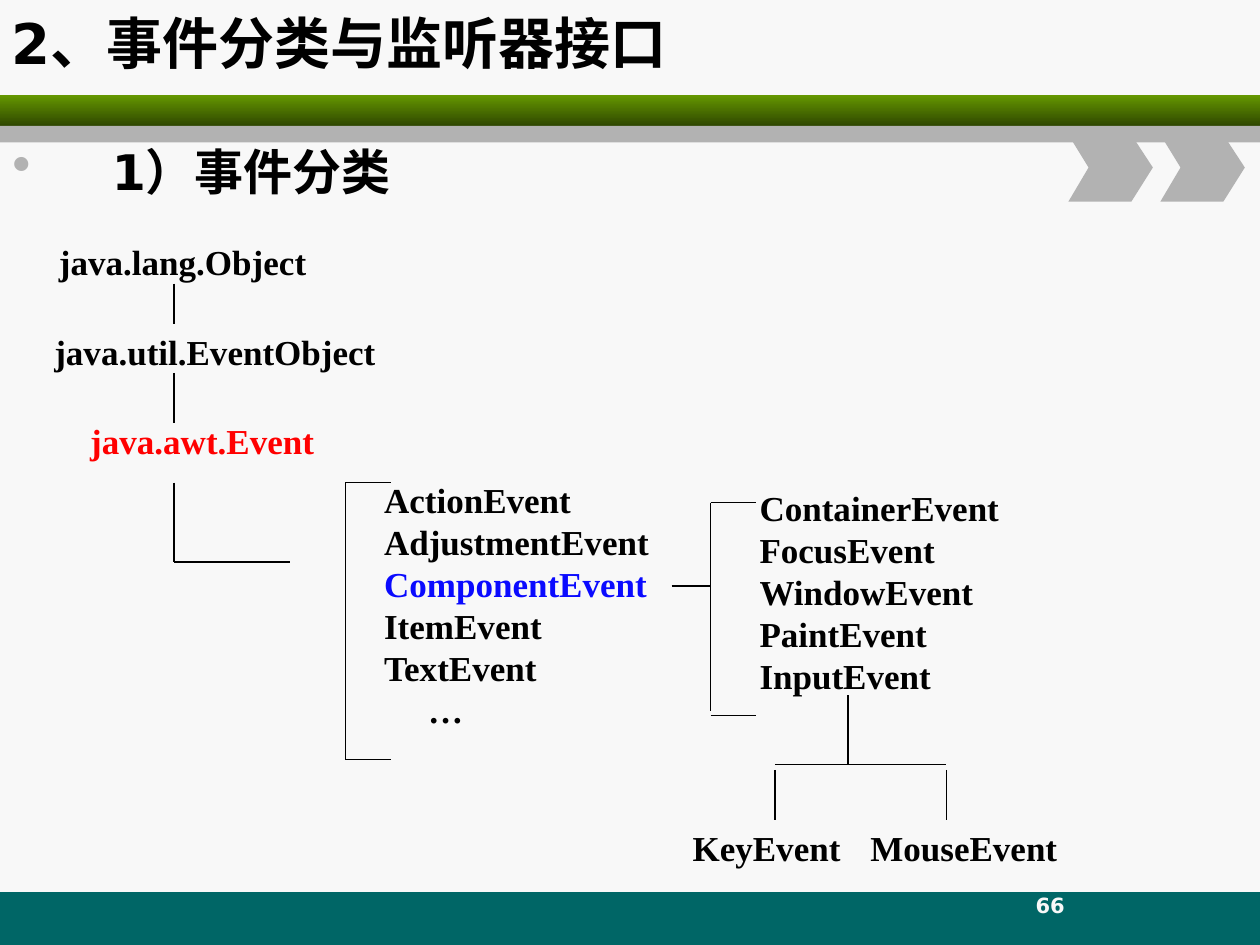
from typing import NamedTuple

from lxml import etree
from pptx import Presentation
from pptx.dml.color import RGBColor
from pptx.enum.shapes import MSO_CONNECTOR as Connector, MSO_SHAPE as Shape
from pptx.enum.text import MSO_ANCHOR as Anchor, PP_ALIGN as Align
from pptx.oxml.ns import qn
from pptx.util import Inches, Pt

SANS, SERIF = "DejaVu Sans", "Times New Roman"
BLACK, PAPER, GRAY, TEAL = "000000", "F8F8F8", "B2B2B2", "006666"
RED, BLUE = "FF0000", "0A0AFF"


class Box(NamedTuple):
    left: float
    top: float
    width: float
    height: float


class Line(NamedTuple):
    x1: float
    y1: float
    x2: float
    y2: float


class Label(NamedTuple):
    box: Box
    names: list[str]
    align: Align = Align.LEFT
    color: str = BLACK


LABELS = [
    Label(Box(0.23, 1.86, 2.3, 0.44), ["java.lang.Object"], Align.RIGHT),
    Label(Box(0.19, 2.57, 2.89, 0.44), ["java.util.EventObject"], Align.RIGHT),
    Label(Box(0.47, 3.28, 2.27, 0.44), ["java.awt.Event"], Align.CENTER, RED),
    Label(Box(2.95, 3.75, 2.4, 2.1),
          ["ActionEvent", "AdjustmentEvent", "ComponentEvent", "ItemEvent", "TextEvent", "…"]),
    Label(Box(5.93, 3.81, 2.3, 1.77),
          ["ContainerEvent", "FocusEvent", "WindowEvent", "PaintEvent", "InputEvent"]),
    Label(Box(5.24, 6.51, 1.53, 0.44), ["KeyEvent"], Align.RIGHT),
    Label(Box(6.71, 6.51, 1.78, 0.44), ["MouseEvent"], Align.RIGHT),
]

TRUNK_X, AWT_X, COMPONENT_X = 1.38, 2.74, 5.64
INPUT_X, KEY_X, MOUSE_X = 6.73, 6.15, 7.51
ARM = 0.36
LINES = [
    # From Object down to the awt events
    Line(TRUNK_X, 2.25, TRUNK_X, 2.57),
    Line(TRUNK_X, 2.96, TRUNK_X, 3.36),
    Line(TRUNK_X, 3.83, TRUNK_X, 4.46),
    Line(TRUNK_X, 4.46, 2.3, 4.46),
    # Bracket before the awt events
    Line(AWT_X, 3.83, AWT_X, 6.03),
    Line(AWT_X, 3.83, AWT_X + ARM, 3.83),
    Line(AWT_X, 6.03, AWT_X + ARM, 6.03),
    # Bracket before the component events
    Line(5.33, 4.65, COMPONENT_X, 4.65),
    Line(COMPONENT_X, 3.99, COMPONENT_X, 5.64),
    Line(COMPONENT_X, 3.99, COMPONENT_X + ARM, 3.99),
    Line(COMPONENT_X, 5.68, COMPONENT_X + ARM, 5.68),
    # Fork under InputEvent
    Line(INPUT_X, 5.52, INPUT_X, 6.07),
    Line(KEY_X, 6.07, MOUSE_X, 6.07),
    Line(KEY_X, 6.11, KEY_X, 6.51),
    Line(MOUSE_X, 6.11, MOUSE_X, 6.51),
]


def rgb(value: str) -> RGBColor:
    return RGBColor.from_string(value)


def add_text(slide, box: Box, lines: list[str], *, size: float, font: str = SERIF,
             color: str = BLACK, align: Align = Align.LEFT, anchor: Anchor = Anchor.TOP):
    """Add a bold text box with one paragraph per line."""
    shape = slide.shapes.add_textbox(*map(Inches, box))
    frame = shape.text_frame
    frame.word_wrap = True
    frame.vertical_anchor = anchor
    for number, line in enumerate(lines):
        paragraph = frame.add_paragraph() if number else frame.paragraphs[0]
        paragraph.alignment = align
        run = paragraph.add_run()
        run.text = line
        run.font.size = Pt(size)
        run.font.bold = True
        run.font.color.rgb = rgb(color)
        run.font.name = font
        etree.SubElement(run.font._element, qn("a:ea"), typeface=font)
    return frame.paragraphs


def set_indent(paragraph, left: float, first: float = 0):
    properties = paragraph._p.get_or_add_pPr()
    properties.set("marL", str(Inches(left)))
    properties.set("indent", str(Inches(first)))
    return properties


def add_bullet(paragraph, indent: float) -> None:
    properties = set_indent(paragraph, indent, -indent)
    color = etree.SubElement(properties, qn("a:buClr"))
    etree.SubElement(color, qn("a:srgbClr"), val=GRAY)
    etree.SubElement(properties, qn("a:buSzPct"), val="110000")
    etree.SubElement(properties, qn("a:buChar"), char="•")


def paint(shape, color: str) -> None:
    shape.shadow.inherit = False
    shape.fill.solid()
    shape.fill.fore_color.rgb = rgb(color)
    shape.line.fill.background()


def add_bar(slide, box: Box, color: str):
    shape = slide.shapes.add_shape(Shape.RECTANGLE, *map(Inches, box))
    paint(shape, color)
    return shape


def add_chevron(slide, left: float) -> None:
    top, middle, bottom = 1.07, 1.33, 1.6
    points = [(0.5, top), (0.67, middle), (0.5, bottom), (0, bottom), (0.16, middle)]
    builder = slide.shapes.build_freeform(Inches(left), Inches(top))
    builder.add_line_segments([(Inches(left + x), Inches(y)) for x, y in points])
    paint(builder.convert_to_shape(), GRAY)


def add_line(slide, line: Line) -> None:
    connector = slide.shapes.add_connector(Connector.STRAIGHT, *map(Inches, line))
    connector.line.color.rgb = rgb(BLACK)
    connector.line.width = Pt(0.75)
    etree.SubElement(connector._element.spPr, qn("a:effectLst"))


def main() -> None:
    presentation = Presentation()
    presentation.slide_width, presentation.slide_height = Inches(10), Inches(7.5)
    slide = presentation.slides.add_slide(presentation.slide_layouts[6])
    slide.background.fill.solid()
    slide.background.fill.fore_color.rgb = rgb(PAPER)

    # Bands and chevrons
    add_bar(slide, Box(0, 7.08, 10, 0.42), TEAL)
    green_bar = add_bar(slide, Box(0, 0.75, 10, 0.25), "669900")
    green_bar.fill.gradient()
    green_bar.fill.gradient_angle = 270
    for stop, color in zip(green_bar.fill.gradient_stops, ("669900", "2F4700")):
        stop.color.rgb = rgb(color)
    add_bar(slide, Box(0, 1, 10, 0.13), GRAY)
    for left in (8.48, 9.21):
        add_chevron(slide, left)

    # Title, heading and slide number
    add_text(slide, Box(-0.01, 0, 8.5, 0.67), ["2、事件分类与监听器接口"],
             size=32, font=SANS, anchor=Anchor.MIDDLE)
    heading = add_text(slide, Box(0, 1.07, 9, 0.61), ["1）事件分类"], size=28, font=SANS)
    add_bullet(heading[0], 0.79)
    add_text(slide, Box(7.17, 6.83, 2.33, 0.5), ["66"], size=12, font=SANS,
             color=PAPER, align=Align.CENTER, anchor=Anchor.BOTTOM)

    # Class tree
    for label in LABELS:
        paragraphs = add_text(slide, label.box, label.names, size=20,
                              color=label.color, align=label.align)
        for name, paragraph in zip(label.names, paragraphs):
            if name == "ComponentEvent":
                paragraph.runs[0].font.color.rgb = rgb(BLUE)
            elif name == "…":
                set_indent(paragraph, 0.35)
    for line in LINES:
        add_line(slide, line)

    presentation.save("out.pptx")


if __name__ == "__main__":
    main()
